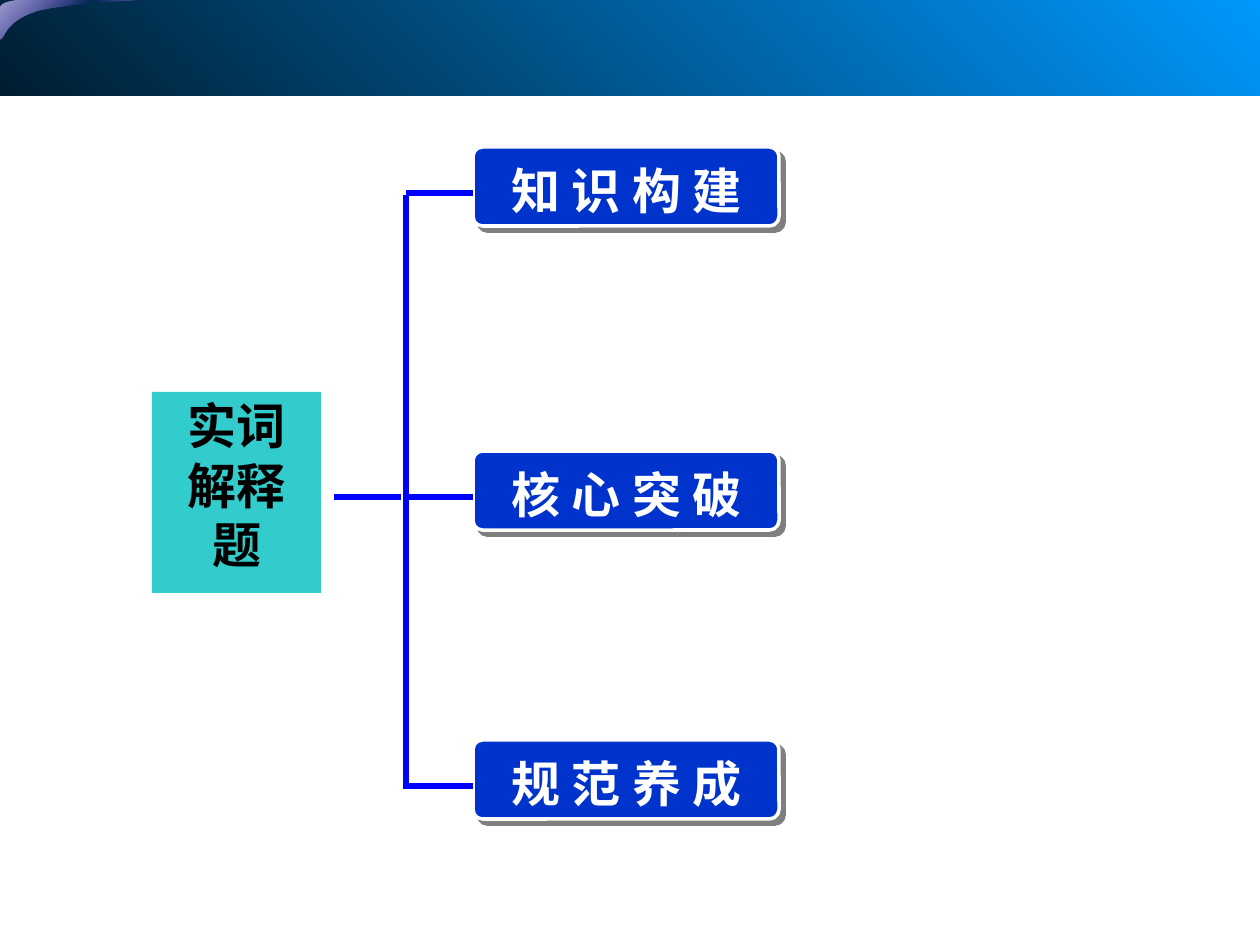
from lxml.etree import SubElement
from pptx import Presentation
from pptx.dml.color import RGBColor
from pptx.enum.shapes import MSO_CONNECTOR as Connector, MSO_SHAPE as Shape
from pptx.enum.text import MSO_ANCHOR as Anchor, PP_ALIGN as Align
from pptx.oxml.ns import qn
from pptx.util import Emu, Pt

PX = 914400 / 126
WHITE = RGBColor(0xFF, 0xFF, 0xFF)
BLACK = RGBColor(0, 0, 0)
TEAL = RGBColor(0x33, 0xCC, 0xCC)
CARD_BLUE = RGBColor(0, 0x33, 0xCC)
LINE_BLUE = RGBColor(0, 0, 0xFF)
BAND_LIGHT = RGBColor(0, 0x99, 0xFF)
BAND_DARK = RGBColor(0, 0x1D, 0x30)
GLOSS_EDGE = RGBColor(0x9B, 0x9B, 0xCC)
GLOSS_MIDDLE = RGBColor(0x33, 0x33, 0x99)
CJK_FONT = "Noto Sans CJK SC"


def px(*lengths):
    return [Emu(round(length * PX)) for length in lengths]


def write(box, text, color, font_name, insets):
    frame = box.text_frame
    frame.word_wrap = True
    sides = ("margin_left", "margin_top", "margin_right", "margin_bottom")
    for side, inset in zip(sides, px(*insets)):
        setattr(frame, side, inset)
    para = frame.paragraphs[0]
    span = para.add_run()
    span.text = text
    for name, value in {"size": Pt(28), "bold": True, "name": font_name}.items():
        setattr(span.font, name, value)
    span.font.color.rgb = color
    SubElement(span.font._element, qn("a:ea"), typeface=CJK_FONT)
    return frame, para


deck = Presentation()
deck.slide_width, deck.slide_height = px(1260, 945)
page = deck.slides.add_slide(deck.slide_layouts[6])
shapes = page.shapes

topic = shapes.add_shape(Shape.RECTANGLE, *px(152, 392, 169, 201))
topic.shadow.inherit = False
topic.fill.solid()
topic.fill.fore_color.rgb = TEAL
topic.line.fill.background()
frame, para = write(topic, "实词解释题", BLACK, CJK_FONT, (13, 3, 13, 20))
frame.vertical_anchor = Anchor.TOP
para.alignment = Align.CENTER
para.line_spacing = Pt(34)

band = shapes.add_shape(Shape.RECTANGLE, *px(0, -14, 1260, 110))
band.shadow.inherit = False
band.line.fill.background()
band.fill.gradient()
band.fill.gradient_angle = 225
for stop, color, position in zip(band.fill.gradient_stops, (BAND_LIGHT, BAND_DARK), (0, 1)):
    stop.color.rgb = color
    stop.position = position

gloss_corners = [(0, 8), (0, 39), (40, 11), (150, 0)]
gloss_curves = {
    0: [(14, 0), (0, 3), (0, 8)],
    2: [(6, 39), (3, 21), (40, 11)],
    3: [(79, 3), (150, 1), (150, 0)],
}
gloss_stops = [(0, GLOSS_EDGE, 100), (50, GLOSS_MIDDLE, 0), (100, GLOSS_EDGE, 100)]
cards = [("知 识 构 建", 147), ("核 心 突 破", 451), ("规 范 养 成", 740)]

for label, top in cards:
    card = shapes.add_shape(Shape.ROUNDED_RECTANGLE, *px(473, top, 306, 79))
    card.adjustments[0] = 0.12
    card.fill.solid()
    card.fill.fore_color.rgb = CARD_BLUE
    card.line.color.rgb = WHITE
    card.line.width = Pt(2)
    effects = SubElement(card._element.spPr, qn("a:effectLst"))
    shadow = SubElement(effects, qn("a:outerShdw"), blurRad="0", dist=str(Pt(4.2)),
                        dir="2700000", algn="ctr", rotWithShape="0")
    shade = SubElement(shadow, qn("a:srgbClr"), val=str(BLACK))
    SubElement(shade, qn("a:alpha"), val="50000")

    builder = shapes.build_freeform(30, 0, scale=PX)
    builder.add_line_segments(gloss_corners, close=True)
    gloss = builder.convert_to_shape(492, top + 6)
    segments = list(gloss._element.spPr.iter(qn("a:lnTo")))
    for index, curve in gloss_curves.items():
        segment = segments[index]
        segment.tag = qn("a:cubicBezTo")
        for point in list(segment):
            segment.remove(point)
        for x, y in curve:
            SubElement(segment, qn("a:pt"), x=str(x), y=str(y))
    gloss.shadow.inherit = False
    gloss.line.fill.background()
    gloss.fill.gradient()
    gloss.fill.gradient_angle = 135
    stops = gloss._element.spPr.find(qn("a:gradFill")).find(qn("a:gsLst"))
    for stop in list(stops):
        stops.remove(stop)
    for position, color, alpha in gloss_stops:
        stop = SubElement(stops, qn("a:gs"), pos=str(position * 1000))
        tint = SubElement(stop, qn("a:srgbClr"), val=str(color))
        SubElement(tint, qn("a:alpha"), val=str(alpha * 1000))

    caption = shapes.add_textbox(*px(499, top + 7, 518, 72))
    frame, para = write(caption, label, WHITE, "Times New Roman", (13, 6, 13, 6))
    frame.vertical_anchor = Anchor.MIDDLE

branches = [(406, top + 46, 473, top + 46) for label, top in cards]
for ends in [(334, 497, 401, 497), (406, 195, 406, 789), *branches]:
    line = shapes.add_connector(Connector.STRAIGHT, *px(*ends))
    line.line.color.rgb = LINE_BLUE
    line.line.width = Pt(3)
    SubElement(line._element.spPr, qn("a:effectLst"))

deck.save("out.pptx")
